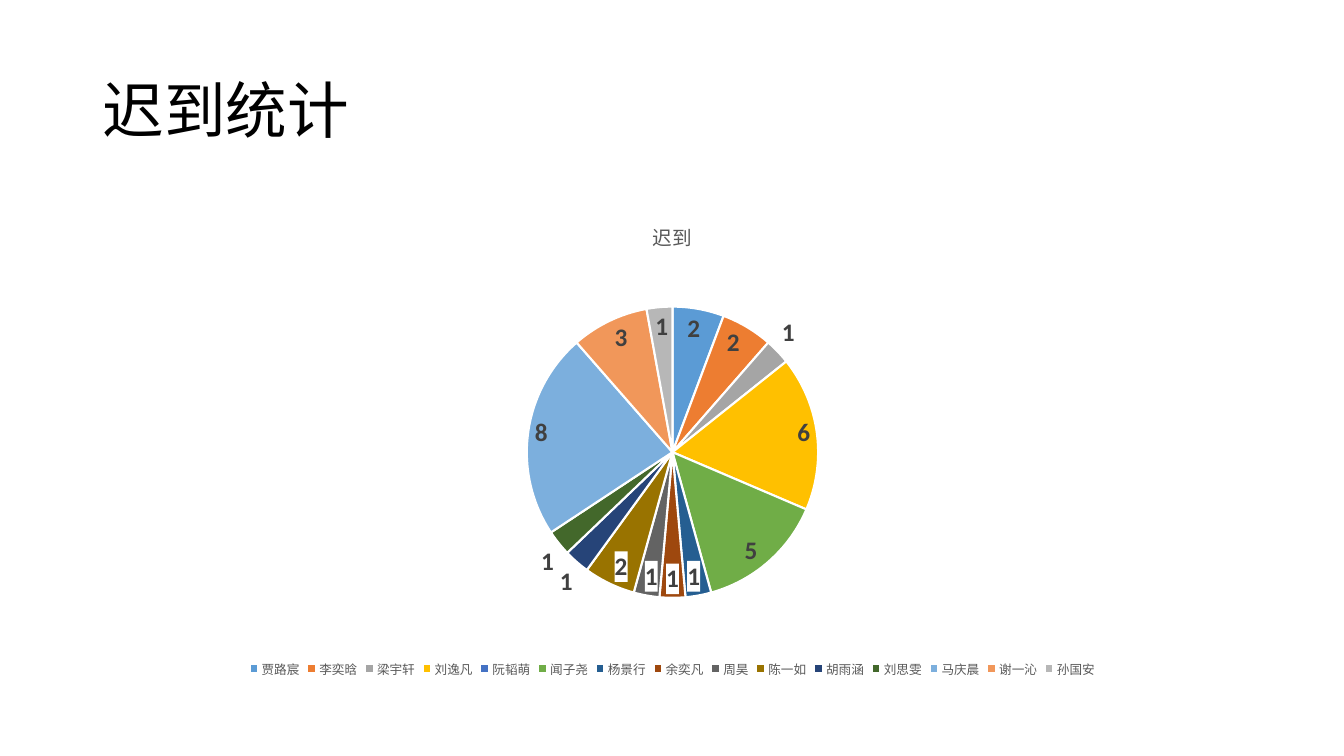
import pptx
import pptx.util
import pptx.chart.data
import pptx.dml.color
import pptx.enum.chart
import pptx.enum.text
import lxml.etree
from dataclasses import dataclass

Inches = pptx.util.Inches


@dataclass(frozen=True)
class Theme:
    """Colours, font and type sizes of the slide."""
    font: str = "Calibri"
    ink: str = "000000"
    paper: str = "FFFFFF"
    muted: str = "595959"
    label: str = "404040"
    heading_size: int = 44
    chart_title_size: int = 14
    label_size: int = 18
    legend_size: int = 9
    border: float = 1.5
    slices: tuple = ("5B9BD5", "ED7D31", "A5A5A5", "FFC000", "4472C4",
                     "70AD47", "255E91", "9E480E", "636363", "997300",
                     "264478", "43682B", "7CAFDD", "F1975A", "B7B7B7")


THEME = Theme()
LATE_COUNTS = {
    "贾路宸": 2, "李奕晗": 2, "梁宇轩": 1, "刘逸凡": 6, "阮韬萌": 0,
    "闻子尧": 5, "杨景行": 1, "余奕凡": 1, "周昊": 1, "陈一如": 2,
    "胡雨涵": 1, "刘思雯": 1, "马庆晨": 8, "谢一沁": 3, "孙国安": 1,
}
BOXED_LABELS = range(6, 10)


def rgb(code):
    """Turn a hex code into a colour."""
    return pptx.dml.color.RGBColor.from_string(code)


def set_font(font, size, color, bold=False):
    """Apply the theme font with a size, colour and weight."""
    formats = {"name": THEME.font, "size": pptx.util.Pt(size), "bold": bold}
    for key, value in formats.items():
        setattr(font, key, value)
    font.color.rgb = rgb(color)


def add_heading(slide, box, text):
    """Place the slide heading, centred vertically in its box."""
    frame = slide.shapes.add_textbox(*map(Inches, box)).text_frame
    frame.word_wrap = True
    frame.vertical_anchor = pptx.enum.text.MSO_ANCHOR.MIDDLE
    heading = frame.paragraphs[0]
    heading.line_spacing = 0.9
    run = heading.add_run()
    run.text = text
    set_font(run.font, THEME.heading_size, THEME.ink)


def fill_label(series, index):
    """Give one value label a solid background."""
    label = series.points[index].data_label
    set_font(label.font, THEME.label_size, THEME.label, True)
    label.position = pptx.enum.chart.XL_LABEL_POSITION.BEST_FIT
    text_props = series._element.xpath(
        f'.//c:dLbl[c:idx/@val="{index}"]/c:txPr')[0]
    for old in text_props.getparent().xpath("c:spPr"):
        old.getparent().remove(old)
    chart_ns = lxml.etree.QName(text_props).namespace
    draw_ns = "http://schemas.openxmlformats.org/drawingml/2006/main"
    background = lxml.etree.Element(f"{{{chart_ns}}}spPr")
    fill = lxml.etree.SubElement(background, f"{{{draw_ns}}}solidFill")
    lxml.etree.SubElement(fill, f"{{{draw_ns}}}srgbClr", val=THEME.paper)
    text_props.addprevious(background)


def add_late_pie(slide, box, title, counts):
    """Place the pie of late arrivals with its title, labels and legend."""
    data = pptx.chart.data.CategoryChartData()
    data.categories = list(counts)
    data.add_series(title, list(counts.values()))
    chart = slide.shapes.add_chart(
        pptx.enum.chart.XL_CHART_TYPE.PIE, *map(Inches, box), data).chart
    set_font(chart.font, 10, THEME.ink)

    chart.has_title = True
    chart.chart_title.include_in_layout = False
    run = chart.chart_title.text_frame.paragraphs[0].add_run()
    run.text = title
    set_font(run.font, THEME.chart_title_size, THEME.muted)

    chart.has_legend = True
    chart.legend.position = pptx.enum.chart.XL_LEGEND_POSITION.BOTTOM
    chart.legend.include_in_layout = False
    set_font(chart.legend.font, THEME.legend_size, THEME.muted)

    plot = chart.plots[0]
    plot.vary_by_categories = True
    series = plot.series[0]
    for index, color in enumerate(THEME.slices):
        wedge = series.points[index].format
        wedge.fill.solid()
        wedge.fill.fore_color.rgb = rgb(color)
        wedge.line.color.rgb = rgb(THEME.paper)
        wedge.line.width = pptx.util.Pt(THEME.border)

    labels = series.data_labels
    # The second, empty section of the number format hides zeros.
    formats = {"show_value": True, "number_format": "0;;",
               "number_format_is_linked": False,
               "position": pptx.enum.chart.XL_LABEL_POSITION.BEST_FIT}
    for key, value in formats.items():
        setattr(labels, key, value)
    set_font(labels.font, THEME.label_size, THEME.label, True)
    for index in BOXED_LABELS:
        fill_label(series, index)


def main():
    """Build the late-arrival slide and save it."""
    deck = pptx.Presentation()
    deck.slide_width, deck.slide_height = Inches(13.33), Inches(7.5)
    slide = deck.slides.add_slide(deck.slide_layouts[6])
    add_heading(slide, (0.92, 0.4, 11.5, 1.45), "迟到统计")
    add_late_pie(slide, (0.92, 2, 11.5, 4.76), "迟到", LATE_COUNTS)
    deck.save("out.pptx")


main()
